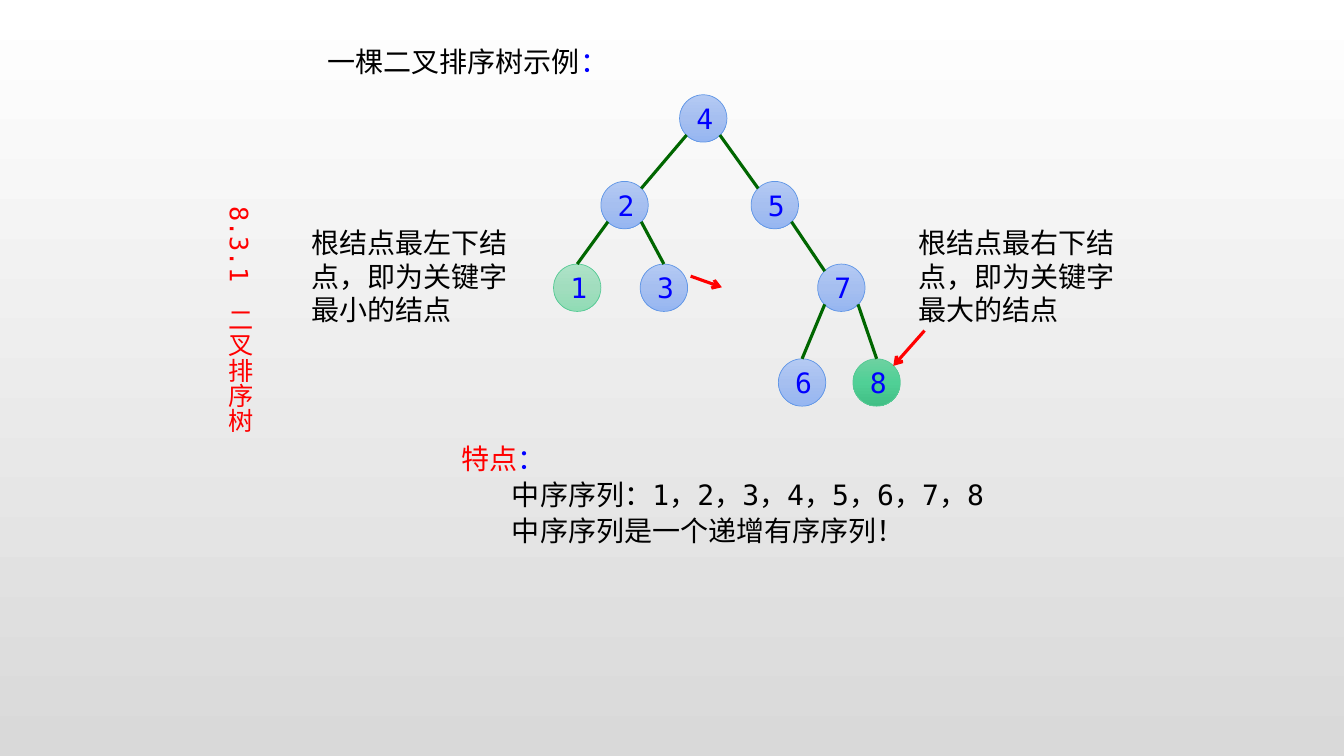
from copy import deepcopy
from dataclasses import dataclass
from typing import Optional

from lxml.etree import SubElement
from pptx import Presentation
from pptx.dml.color import RGBColor
from pptx.dml.fill import FillFormat
from pptx.enum.shapes import MSO_CONNECTOR as Connector, MSO_SHAPE as Shape
from pptx.enum.text import MSO_ANCHOR as Anchor, MSO_AUTO_SIZE as AutoSize, PP_ALIGN as Align
from pptx.oxml.ns import qn
from pptx.util import Emu, Pt

SCALE = 9144
DIAMETER = 47
CORNER = 7
MONO = "DejaVu Sans Mono"
HAN = "Noto Sans CJK SC"
BLACK, RED, BLUE, GREEN = "000000", "FF0000", "0000FF", "006600"


@dataclass(frozen=True)
class Palette:
    """Gradient stops from top to bottom, and the outline."""
    stops: tuple[str, ...]
    outline: str


@dataclass(frozen=True)
class Node:
    """A tree node with its top left corner and its parent's key."""
    key: int
    left: int
    top: int
    parent: Optional[int]
    palette: Palette


@dataclass(frozen=True)
class Span:
    """A run of text in one colour."""
    text: str
    colour: str = BLACK


@dataclass(frozen=True)
class Label:
    """A text box whose paragraphs are tuples of spans."""
    left: int
    top: int
    width: int
    height: int
    paragraphs: tuple[tuple[Span, ...], ...]
    font: str = MONO
    size: int = 20
    line_spacing: Optional[int] = None
    vertical: bool = False


@dataclass(frozen=True)
class Arrow:
    """A red arrow from one point to another."""
    start: tuple[int, int]
    end: tuple[int, int]


PLAIN = Palette(("B4CAF3", "A6BFF0", "96B6F1"), "6096E6")
SMALLEST = Palette(("AEE3C8", "A1DDBE", "90DCB5"), "56CA95")
LARGEST = Palette(("6DD1A1", "50D096", "41BF85"), "56CA95")

NODES = (
    Node(4, 674, 94, None, PLAIN),
    Node(2, 596, 180, 4, PLAIN),
    Node(1, 549, 262, 2, SMALLEST),
    Node(3, 635, 262, 2, PLAIN),
    Node(5, 745, 180, 4, PLAIN),
    Node(7, 811, 262, 5, PLAIN),
    Node(6, 772, 356, 7, PLAIN),
    Node(8, 846, 356, 7, LARGEST),
)

LABELS = (
    Label(315, 39, 402, 44, ((Span("一棵二叉排序树示例"), Span("：", BLUE)),), font=HAN),
    Label(299, 219, 219, 111, ((Span("根结点最左下结点，即为关键字最小的结点"),),), font=HAN),
    Label(901, 219, 227, 111, ((Span("根结点最右下结点，即为关键字最大的结点"),),)),
    Label(448, 430, 586, 119, (
        (Span("特点", RED), Span("：", BLUE)),
        (Span("中序序列：1，2，3，4，5，6，7，8"),),
        (Span("中序序列是一个递增有序序列！"),),
    ), line_spacing=26),
    Label(208, 195, 50, 344, ((Span("8.3.1　二叉排序树", RED),),), size=18, vertical=True),
)

ARROWS = (Arrow((917, 328), (886, 363)), Arrow((685, 274), (716, 285)))


def px(length: int) -> Emu:
    """Turn px into EMU."""
    return Emu(length * SCALE)


def rgb(colour: str) -> RGBColor:
    """Turn a hex string into a colour."""
    return RGBColor.from_string(colour)


def paint_gradient(fill: FillFormat, element, colours: tuple[str, ...]) -> None:
    """Fill from top to bottom with evenly spaced stops."""
    fill.gradient()
    fill.gradient_angle = 270
    stop_list = next(element.iter(qn("a:gsLst")))
    for _ in colours[2:]:
        stop_list.insert(1, deepcopy(stop_list[0]))
    for index, (stop, colour) in enumerate(zip(fill.gradient_stops, colours)):
        stop.color.rgb = rgb(colour)
        stop.position = index / (len(colours) - 1)


def format_run(run, font: str, size: int, colour: str) -> None:
    """Set the Latin and East Asian fonts, the size and the colour."""
    run.font.name = font
    SubElement(run.font._element, qn("a:ea")).set("typeface", HAN)
    run.font.size = Pt(size)
    run.font.color.rgb = rgb(colour)


def draw_node(shapes, node: Node):
    """Draw a circle with its key."""
    circle = shapes.add_shape(Shape.OVAL, px(node.left), px(node.top), px(DIAMETER), px(DIAMETER))
    circle.shadow.inherit = False
    paint_gradient(circle.fill, circle._element.spPr, node.palette.stops)
    circle.line.color.rgb = rgb(node.palette.outline)
    circle.line.width = Pt(0.5)
    frame = circle.text_frame
    frame.text = str(node.key)
    frame.vertical_anchor = Anchor.MIDDLE
    frame.paragraphs[0].alignment = Align.CENTER
    format_run(frame.paragraphs[0].runs[0], MONO, 20, BLUE)
    return circle


def draw_line(shapes, start: tuple[int, int], end: tuple[int, int], colour: str):
    """Draw a straight line without a shadow."""
    line = shapes.add_connector(Connector.STRAIGHT, *map(px, start + end))
    line.line.color.rgb = rgb(colour)
    line.line.width = Pt(2.25)
    SubElement(line._element.spPr, qn("a:effectLst"))
    return line


def draw_edge(shapes, parent: Node, child: Node, circle, is_leaf: bool) -> None:
    """Join a parent's lower corner to a leaf's top or an inner node's facing corner."""
    far = DIAMETER - CORNER
    goes_left = child.left < parent.left
    start = (parent.left + (CORNER if goes_left else far), parent.top + far)
    end = (child.left + (far if goes_left else CORNER), child.top + CORNER)
    edge = draw_line(shapes, start, end, GREEN)
    if is_leaf:
        edge.end_connect(circle, 0)


def draw_tree(page) -> None:
    """Draw all nodes and edges in one group."""
    shapes = page.shapes.add_group_shape().shapes
    nodes = {node.key: node for node in NODES}
    circles = {node.key: draw_node(shapes, node) for node in NODES}
    parents = {node.parent for node in NODES}
    for node in NODES:
        if node.parent is not None:
            draw_edge(shapes, nodes[node.parent], node, circles[node.key], node.key not in parents)


def draw_label(page, label: Label) -> None:
    """Draw a text box, indenting the paragraphs after the first."""
    box = page.shapes.add_textbox(px(label.left), px(label.top), px(label.width), px(label.height))
    frame = box.text_frame
    frame.word_wrap = True
    if label.vertical:
        frame._txBody.bodyPr.set("vert", "eaVert")
    else:
        frame.auto_size = AutoSize.SHAPE_TO_FIT_TEXT
    for index, spans in enumerate(label.paragraphs):
        para = frame.add_paragraph() if index else frame.paragraphs[0]
        if label.line_spacing:
            para.line_spacing = Pt(label.line_spacing)
        if index:
            para.level = 1
            properties = para._p.get_or_add_pPr()
            properties.set("marL", str(px(50)))
            properties.set("indent", "0")
        for span in spans:
            run = para.add_run()
            run.text = span.text
            format_run(run, label.font, label.size, span.colour)


def draw_arrow(page, arrow: Arrow) -> None:
    """Draw a red line with an open head at its end."""
    line = draw_line(page.shapes, arrow.start, arrow.end, RED)
    SubElement(line.line._get_or_add_ln(), qn("a:tailEnd")).set("type", "arrow")


def main() -> None:
    """Build the slide and save it."""
    deck = Presentation()
    deck.slide_width, deck.slide_height = px(1333), px(750)
    page = deck.slides.add_slide(deck.slide_layouts[6])
    paint_gradient(page.background.fill, page._element, ("FFFFFF", "D9D9D9"))
    draw_tree(page)
    for label in LABELS:
        draw_label(page, label)
    for arrow in ARROWS:
        draw_arrow(page, arrow)
    deck.save("out.pptx")


if __name__ == "__main__":
    main()
